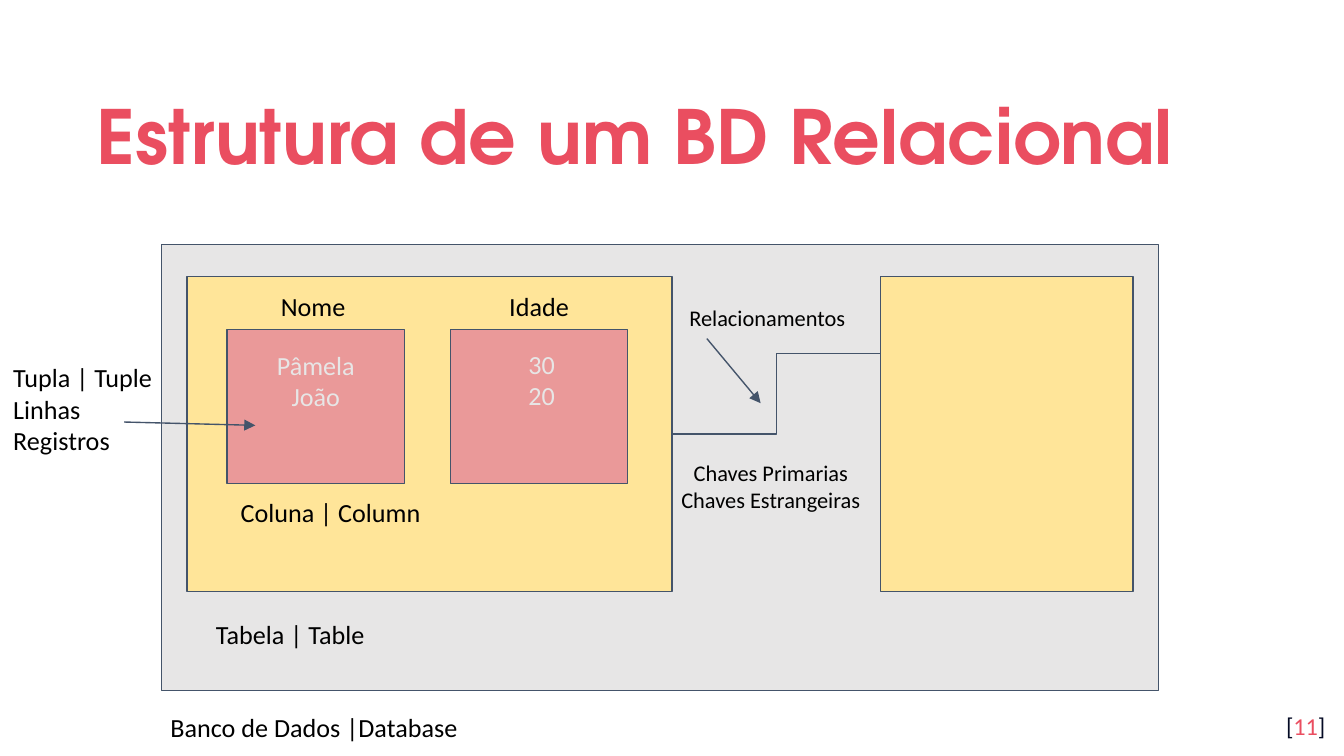
from lxml import etree
from pptx import Presentation
from pptx.dml.color import RGBColor
from pptx.enum.shapes import MSO_CONNECTOR, MSO_SHAPE
from pptx.enum.text import MSO_ANCHOR, PP_ALIGN
from pptx.oxml.ns import qn
from pptx.util import Pt

RECTANGLE = MSO_SHAPE.RECTANGLE
STRAIGHT, ELBOW = MSO_CONNECTOR.STRAIGHT, MSO_CONNECTOR.ELBOW
LEFT, CENTER, RIGHT = PP_ALIGN.LEFT, PP_ALIGN.CENTER, PP_ALIGN.RIGHT
TOP, MIDDLE = MSO_ANCHOR.TOP, MSO_ANCHOR.MIDDLE

BLACK, NAVY, SLATE, CORAL = "000000", "040A24", "44546A", "EA4E60"
GRAY, YELLOW, PINK = "E7E6E6", "FFE599", "EA9999"
MARGIN = 7.2

TITLE = "Estrutura de um BD Relacional"
TITLE_BOX = (44.6, 35.3, 631.4, 66.2)
PAGE_NUMBER = (("[", NAVY), ("11", CORAL), ("]", NAVY))
PAGE_BOX = (673.9, 373.7, 43.2, 31)

DATABASE_BOX = (86.4, 131, 534.2, 239)
MAIN_TABLE_BOX = (100.1, 148.3, 259.9, 168.5)
RELATED_TABLE_BOX = (471.6, 148.3, 135.4, 168.5)

COLUMN_TOP, COLUMN_WIDTH, COLUMN_HEIGHT = 176.4, 95, 82.8
LABEL_WIDTH = 98
COLUMNS = [
    {"left": 121.7, "name": "Nome", "name_left": 118.8,
     "values": "Pâmela\nJoão", "values_at": (120.2, 180)},
    {"left": 241.2, "name": "Idade", "name_left": 239.8,
     "values": "30\n20", "values_at": (241.2, 179.3)},
]

LABELS = [
    ("Banco de Dados |Database", (84.2, 373.7, 170.6, 31.7), 14, LEFT, TOP),
    ("Tabela | Table", (100.1, 324, 110.9, 31.7), 14, CENTER, TOP),
    ("Coluna | Column", (121.7, 258.5, 110.9, 31.7), 14, CENTER, TOP),
    ("Tupla | Tuple\nLinhas\nRegistros", (0, 186.5, 95, 82), 14, LEFT, TOP),
    ("Relacionamentos", (362.2, 155.5, 110.9, 28.8), 12, LEFT, TOP),
    ("Chaves Primarias\nChaves Estrangeiras", (357, 238.3, 112, 43.9), 12, CENTER, MIDDLE),
]

ARROWS = [
    ((66.5, 226.1), (136.8, 227.9)),
    ((378.7, 181.4), (407.5, 216)),
]
RELATION_START, RELATION_END = (360, 232.6), (472, 189.4)


def points(values):
    return [Pt(value) for value in values]


def color(value):
    return RGBColor.from_string(value)


def format_run(run, size, fill, name="Calibri", bold=False):
    run.font.size = Pt(size)
    run.font.name = name
    run.font.bold = bold
    run.font.color.rgb = color(fill)


def set_frame(text_frame, anchor):
    text_frame.word_wrap = True
    text_frame.vertical_anchor = anchor
    text_frame.margin_left = text_frame.margin_right = Pt(MARGIN)
    text_frame.margin_top = text_frame.margin_bottom = Pt(MARGIN)


def add_rectangle(slide, box, fill):
    shape = slide.shapes.add_shape(RECTANGLE, *points(box))
    shape.shadow.inherit = False
    shape.fill.solid()
    shape.fill.fore_color.rgb = color(fill)
    shape.line.color.rgb = color(SLATE)
    shape.line.width = Pt(0.75)
    return shape


def add_label(slide, text, box, size=14, alignment=CENTER, anchor=TOP, fill=BLACK):
    text_frame = slide.shapes.add_textbox(*points(box)).text_frame
    set_frame(text_frame, anchor)
    text_frame.text = text
    for paragraph in text_frame.paragraphs:
        paragraph.alignment = alignment
        for run in paragraph.runs:
            format_run(run, size, fill)


def add_line(slide, kind, start, end, arrow=False):
    connector = slide.shapes.add_connector(kind, *points(start + end))
    connector.line.color.rgb = color(SLATE)
    connector.line.width = Pt(0.75)
    if arrow:
        etree.SubElement(connector.line._get_or_add_ln(), qn("a:tailEnd"), type="triangle")
    etree.SubElement(connector._element.spPr, qn("a:effectLst"))
    return connector


def add_title(slide):
    title = slide.shapes.title
    title.left, title.top, title.width, title.height = points(TITLE_BOX)
    set_frame(title.text_frame, MIDDLE)
    title.text_frame.text = TITLE
    paragraph = title.text_frame.paragraphs[0]
    paragraph.alignment = LEFT
    paragraph.line_spacing = 1.15
    format_run(paragraph.runs[0], 40, CORAL, "TeX Gyre Adventor", True)


def add_page_number(slide):
    text_frame = slide.shapes.add_textbox(*points(PAGE_BOX)).text_frame
    set_frame(text_frame, TOP)
    paragraph = text_frame.paragraphs[0]
    paragraph.alignment = RIGHT
    for text, fill in PAGE_NUMBER:
        run = paragraph.add_run()
        run.text = text
        format_run(run, 13, fill)


def main():
    presentation = Presentation()
    presentation.slide_width, presentation.slide_height = Pt(720), Pt(405)
    slide = presentation.slides.add_slide(presentation.slide_layouts[5])
    add_title(slide)
    add_page_number(slide)

    add_rectangle(slide, DATABASE_BOX, GRAY)
    main_table = add_rectangle(slide, MAIN_TABLE_BOX, YELLOW)
    add_rectangle(slide, RELATED_TABLE_BOX, YELLOW)

    for column in COLUMNS:
        add_rectangle(slide, (column["left"], COLUMN_TOP, COLUMN_WIDTH, COLUMN_HEIGHT), PINK)
        add_label(slide, column["name"], (column["name_left"], MAIN_TABLE_BOX[1], LABEL_WIDTH, 31.7))
        add_label(slide, column["values"], column["values_at"] + (LABEL_WIDTH, 48.2), fill=GRAY)

    for label in LABELS:
        add_label(slide, *label)

    relation = add_line(slide, ELBOW, RELATION_START, RELATION_END)
    relation.begin_connect(main_table, 3)
    for start, end in ARROWS:
        add_line(slide, STRAIGHT, start, end, arrow=True)

    presentation.save("out.pptx")


if __name__ == "__main__":
    main()
